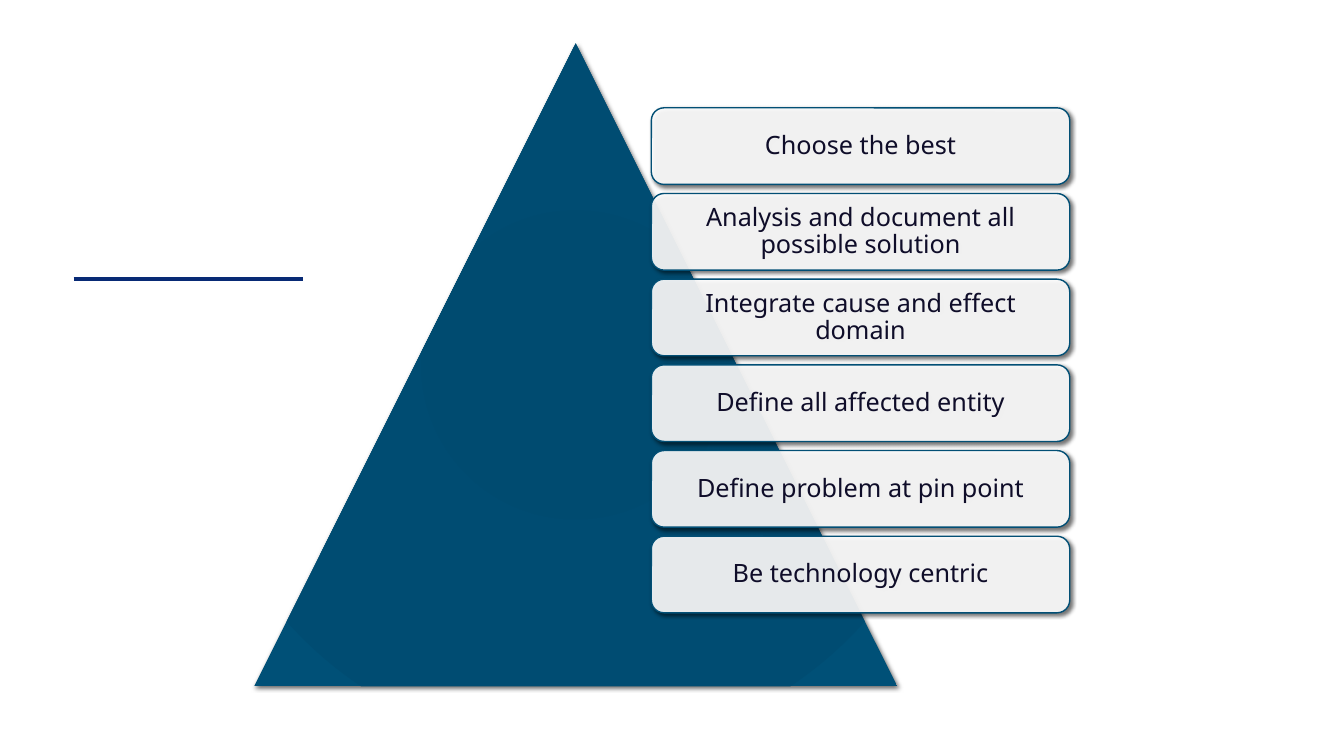
from dataclasses import dataclass

from pptx import Presentation
from pptx.dml.color import RGBColor
from pptx.enum.shapes import MSO_CONNECTOR, MSO_SHAPE
from pptx.enum.text import MSO_ANCHOR, PP_ALIGN
from pptx.oxml import parse_xml
from pptx.oxml.ns import nsdecls, qn
from pptx.util import Inches, Pt


@dataclass(frozen=True)
class Theme:
    font: str = "Noto Sans"
    text_size: int = 18
    text: str = "0F0D29"
    accent: str = "082A75"
    outline: str = "024F75"
    card: str = "FFFFFF"
    card_opacity: int = 90
    shadow: str = "000000"
    shadow_opacity: int = 60
    pyramid: tuple = ((0, "004A6F"), (34, "004B70"), (70, "004C72"), (100, "005077"))


STEPS = [
    "Choose the best",
    "Analysis and document all possible solution",
    "Integrate cause and effect domain",
    "Define all affected entity",
    "Define problem at pin point",
    "Be technology centric",
]
CARD_LEFT, CARD_TOP, CARD_WIDTH, CARD_HEIGHT = 6.46, 1.07, 4.15, 0.76
CARD_PITCH = 0.85


def write_text(shape, text, *, font, size, color, inset=0.07, line_spacing=0.9):
    frame = shape.text_frame
    frame.word_wrap = True
    frame.vertical_anchor = MSO_ANCHOR.MIDDLE
    frame.margin_left = frame.margin_right = Inches(inset)
    frame.margin_top = frame.margin_bottom = Inches(inset)
    paragraph = frame.paragraphs[0]
    paragraph.alignment = PP_ALIGN.CENTER
    paragraph.line_spacing = line_spacing
    run = paragraph.add_run()
    run.text = text
    run.font.name = font
    run.font.size = Pt(size)
    run.font.color.rgb = RGBColor.from_string(color)


class SlideBuilder:
    def __init__(self, slide, theme):
        self.slide = slide
        self.theme = theme

    def add_shape(self, kind, left, top, width, height):
        shape = self.slide.shapes.add_shape(
            kind, Inches(left), Inches(top), Inches(width), Inches(height)
        )
        shape.shadow.inherit = False
        effects = shape._element.spPr.find(qn("a:effectLst"))
        effects.append(parse_xml(
            f'<a:outerShdw {nsdecls("a")} blurRad="{Pt(3)}" dist="{Pt(2)}" '
            f'dir="{45 * 60000}" algn="ctr" rotWithShape="0">'
            f'<a:srgbClr val="{self.theme.shadow}">'
            f'<a:alpha val="{self.theme.shadow_opacity * 1000}"/>'
            '</a:srgbClr></a:outerShdw>'
        ))
        return shape

    def add_rule(self, left, right, y):
        rule = self.slide.shapes.add_connector(
            MSO_CONNECTOR.STRAIGHT, Inches(left), Inches(y), Inches(right), Inches(y)
        )
        rule.line.color.rgb = RGBColor.from_string(self.theme.accent)
        rule.line.width = Pt(3)
        rule._element.spPr.append(parse_xml(f'<a:effectLst {nsdecls("a")}/>'))

    def add_pyramid(self, left, top, size):
        pyramid = self.add_shape(MSO_SHAPE.ISOSCELES_TRIANGLE, left, top, size, size)
        pyramid.line.fill.background()
        stops = "".join(
            f'<a:gs pos="{position * 1000}"><a:srgbClr val="{color}"/></a:gs>'
            for position, color in self.theme.pyramid
        )
        gradient = parse_xml(
            f'<a:gradFill {nsdecls("a")} rotWithShape="1"><a:gsLst>{stops}</a:gsLst>'
            '<a:path path="circle">'
            '<a:fillToRect l="100000" t="100000" r="100000" b="100000"/>'
            '</a:path></a:gradFill>'
        )
        pyramid._element.spPr.find(qn("a:prstGeom")).addnext(gradient)

    def add_card(self, text, left, top, width, height):
        theme = self.theme
        card = self.add_shape(MSO_SHAPE.ROUNDED_RECTANGLE, left, top, width, height)
        card.fill.solid()
        card.fill.fore_color.rgb = RGBColor.from_string(theme.card)
        color = card._element.spPr.find(qn("a:solidFill")).find(qn("a:srgbClr"))
        color.append(parse_xml(
            f'<a:alpha {nsdecls("a")} val="{theme.card_opacity * 1000}"/>'
        ))
        card.line.color.rgb = RGBColor.from_string(theme.outline)
        card.line.width = Pt(1)
        write_text(card, text, font=theme.font, size=theme.text_size, color=theme.text)


def main():
    presentation = Presentation()
    presentation.slide_width = Inches(13.33)
    presentation.slide_height = Inches(7.5)
    slide = presentation.slides.add_slide(presentation.slide_layouts[6])
    builder = SlideBuilder(slide, Theme())
    builder.add_rule(0.73, 3.01, 2.77)
    builder.add_pyramid(2.52, 0.43, 6.38)
    for index, step in enumerate(STEPS):
        top = CARD_TOP + index * CARD_PITCH
        builder.add_card(step, CARD_LEFT, top, CARD_WIDTH, CARD_HEIGHT)
    presentation.save("out.pptx")


if __name__ == "__main__":
    main()
